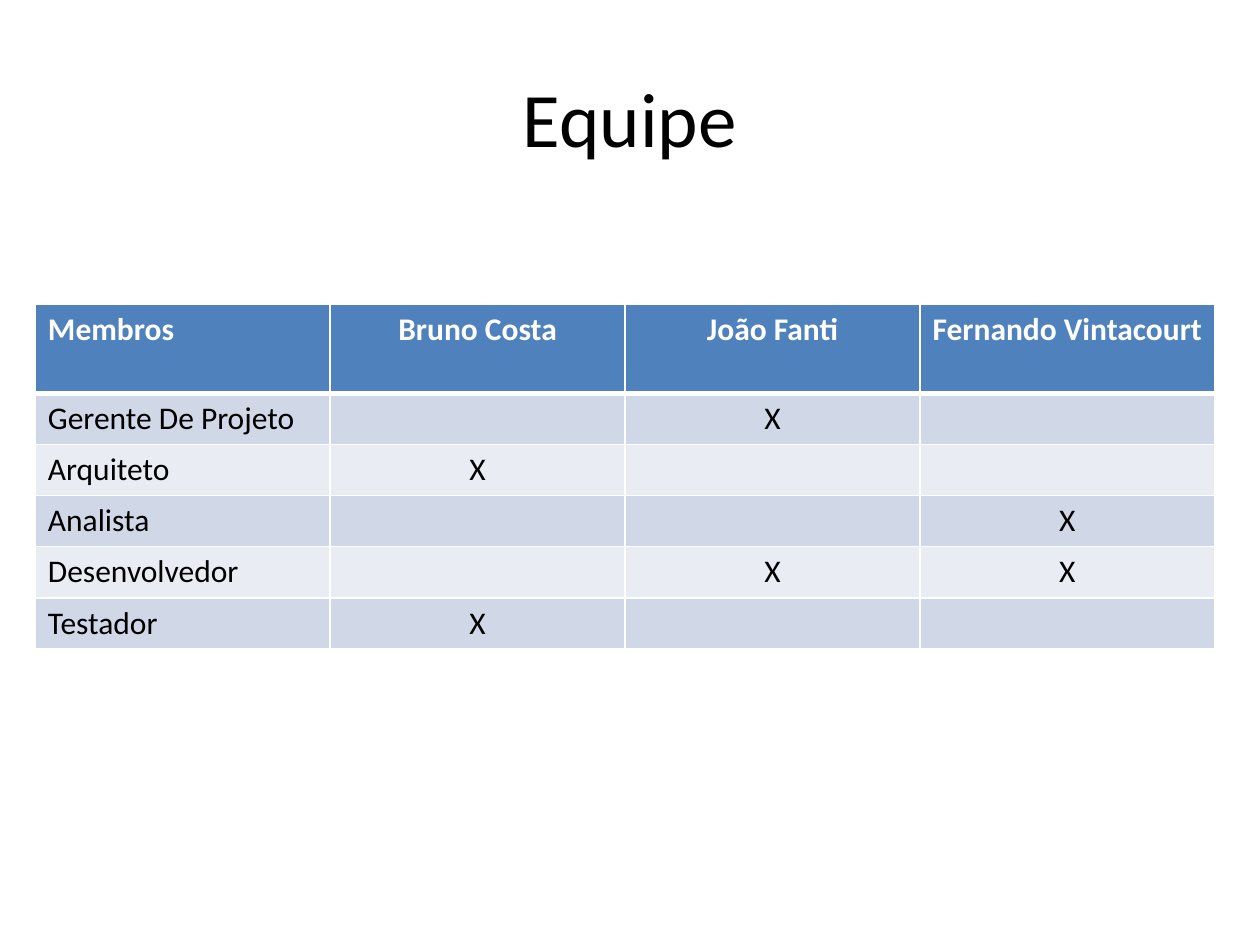
from lxml import etree
from pptx import Presentation
from pptx.dml.color import RGBColor
from pptx.enum.text import MSO_ANCHOR, PP_ALIGN
from pptx.oxml.ns import qn
from pptx.util import Pt

LEFT, CENTER, MIDDLE = PP_ALIGN.LEFT, PP_ALIGN.CENTER, MSO_ANCHOR.MIDDLE
WHITE = RGBColor(0xFF, 0xFF, 0xFF)
BLACK = RGBColor(0, 0, 0)
BLUE = RGBColor(0x4F, 0x81, 0xBD)
BANDS = (RGBColor(0xE9, 0xEC, 0xF3), RGBColor(0xD0, 0xD8, 0xE7))
FONT = "Calibri"

TITLE = "Equipe"
ROLE = "Membros"
TEAM = ["Bruno Costa", "João Fanti", "Fernando Vintacourt"]
DUTIES = [
    ("Gerente De Projeto", ["João Fanti"]),
    ("Arquiteto", ["Bruno Costa"]),
    ("Analista", ["Fernando Vintacourt"]),
    ("Desenvolvedor", ["João Fanti", "Fernando Vintacourt"]),
    ("Testador", ["Bruno Costa"]),
]
ROWS = [[ROLE] + TEAM] + [
    [duty] + ["X" if name in names else "" for name in TEAM]
    for duty, names in DUTIES
]
X, Y, COL, HEAD, ROW = 20.2, 173.8, 168.5, 51, 29.2
THIN, THICK = 0.96, 3


def style(par, size, color, bold, align):
    par.alignment = align
    font = par.font
    font.name, font.size, font.bold = FONT, Pt(size), bold
    font.color.rgb = color


def border(cell, widths):
    props = cell._tc.get_or_add_tcPr()
    for i, (side, width) in enumerate(widths.items()):
        line = etree.Element(qn("a:ln" + side), w=str(Pt(width)))
        fill = etree.SubElement(line, qn("a:solidFill"))
        etree.SubElement(fill, qn("a:srgbClr"), val=str(WHITE))
        props.insert(i, line)


deck = Presentation()
deck.slide_width, deck.slide_height = Pt(720), Pt(540)
slide = deck.slides.add_slide(deck.slide_layouts[5])

title = slide.shapes.title
title.left, title.top, title.width, title.height = Pt(36), Pt(21.6), Pt(648), Pt(90)
title.text_frame.text = TITLE
title.text_frame.vertical_anchor = MIDDLE
style(title.text_frame.paragraphs[0], 44, BLACK, False, CENTER)

count, width = len(ROWS), len(ROWS[0])
table = slide.shapes.add_table(
    count, width, Pt(X), Pt(Y), Pt(COL * width), Pt(HEAD + ROW * (count - 1))
).table
for col in table.columns:
    col.width = Pt(COL)
for r, row in enumerate(ROWS):
    head = r == 0
    table.rows[r].height = Pt(HEAD if head else ROW)
    for c, text in enumerate(row):
        cell = table.cell(r, c)
        cell.text = text
        style(cell.text_frame.paragraphs[0], 18, WHITE if head else BLACK,
              head, CENTER if c else LEFT)
        cell.fill.solid()
        cell.fill.fore_color.rgb = BLUE if head else BANDS[r % 2]
        border(cell, {"L": THIN, "R": THIN,
                      "T": THICK if r == 1 else THIN,
                      "B": THICK if head else THIN})

deck.save("out.pptx")
